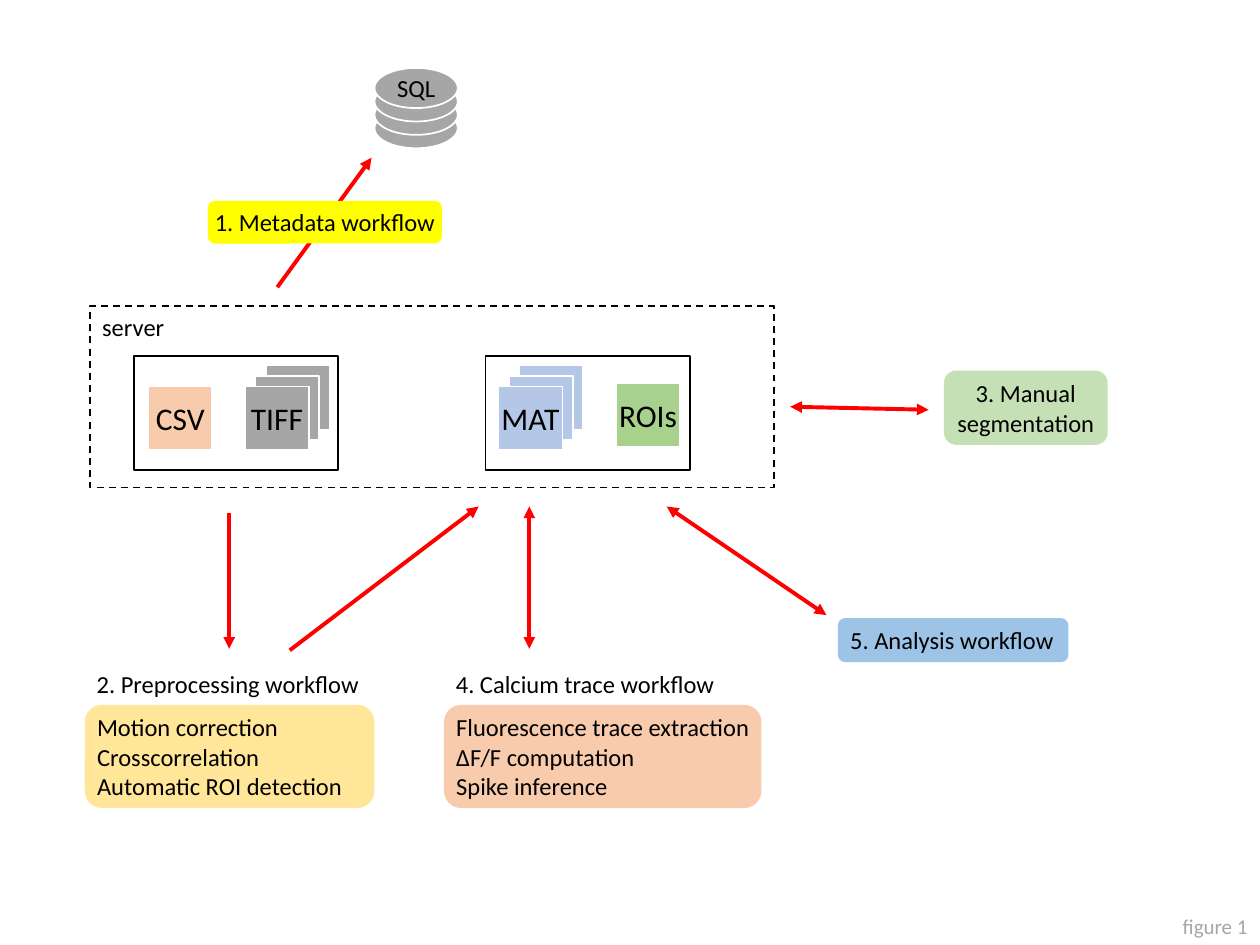
"""Build the imaging data workflow diagram slide."""
from dataclasses import dataclass

from lxml import etree
from pptx import Presentation
from pptx.dml.color import RGBColor
from pptx.enum.dml import MSO_LINE
from pptx.enum.shapes import MSO_CONNECTOR, MSO_SHAPE
from pptx.enum.text import MSO_ANCHOR, PP_ALIGN
from pptx.oxml.ns import qn
from pptx.util import Cm, Pt


@dataclass(frozen=True)
class Theme:
    font: str = "Calibri"
    note: int = 12
    body: int = 14
    tile: int = 18
    edge: float = 1
    arrow: float = 2.25
    black: str = "000000"
    white: str = "FFFFFF"
    gray: str = "A6A6A6"
    red: str = "FF0000"
    yellow: str = "FFFF00"
    sand: str = "FFE699"
    peach: str = "F8CBAD"
    lilac: str = "B4C7E7"
    blue: str = "9DC3E6"
    leaf: str = "A9D18E"
    mint: str = "C5E0B4"


THEME = Theme()
LEFT, CENTER, RIGHT = PP_ALIGN.LEFT, PP_ALIGN.CENTER, PP_ALIGN.RIGHT
INSET = 0.25
CORNER_INSET_RATIO = 0.05

SERVER = (1.81, 6.17, 13.79, 3.66)
FOLDER_LEFTS = (2.7, 9.79)
FOLDER_TOP, FOLDER_WIDTH, FOLDER_HEIGHT = 7.18, 4.12, 2.29
TILE, TILE_STEP = 1.29, 0.21
TILES = [
    ("CSV", 2.99, 7.79, 1, THEME.peach),
    ("TIFF", 4.94, 7.79, 3, THEME.gray),
    ("MAT", 10.05, 7.79, 3, THEME.lilac),
    ("ROIs", 12.42, 7.72, 1, THEME.leaf),
]
DISC_LEFT, DISC_TOP, DISC_WIDTH, DISC_HEIGHT = 7.55, 1.37, 1.68, 0.81
DISC_COUNT, DISC_STEP = 4, 0.27

STEPS = [
    (["1. Metadata workflow"], (4.19, 4.05, 4.72, 0.86), THEME.yellow, CENTER),
    (["3. Manual", "segmentation"], (19.03, 7.47, 3.3, 1.5), THEME.mint, CENTER),
    (["5. Analysis workflow"], (16.89, 12.46, 4.65, 0.89), THEME.blue, LEFT),
    (["Motion correction", "Crosscorrelation", "Automatic ROI detection"],
     (1.71, 14.21, 5.84, 2.08), THEME.sand, LEFT),
    (["Fluorescence trace extraction", "ΔF/F computation", "Spike inference"],
     (8.95, 14.21, 6.4, 2.08), THEME.peach, LEFT),
]
LABELS = [
    ("2. Preprocessing workflow", (1.7, 13.35, 5.84, 0.86), THEME.body, THEME.black, LEFT),
    ("4. Calcium trace workflow", (8.94, 13.35, 6.32, 0.86), THEME.body, THEME.black, LEFT),
    ("figure 1", (22.9, 18.29, 2.5, 0.76), THEME.note, THEME.gray, RIGHT),
]
ARROWS = [
    ((5.59, 5.79), (7.49, 3.18), False),
    ((4.62, 10.34), (4.62, 13.08), False),
    ((5.84, 13.11), (9.65, 10.21), False),
    ((15.93, 8.2), (18.72, 8.26), True),
    ((10.67, 13.08), (10.67, 10.21), True),
    ((16.66, 12.4), (13.44, 10.21), True),
]


def rgb(color):
    return RGBColor.from_string(color)


def write(shape, lines, size=THEME.body, color=THEME.black, align=CENTER,
          anchor=MSO_ANCHOR.MIDDLE, inset=INSET):
    frame = shape.text_frame
    frame.word_wrap = True
    frame.vertical_anchor = anchor
    frame.margin_left = Cm(inset if align == LEFT else 0)
    frame.margin_right = Cm(inset if align == RIGHT else 0)
    frame.text = "\n".join(lines)
    for paragraph in frame.paragraphs:
        paragraph.alignment = align
        paragraph.font.name = THEME.font
        paragraph.font.size = Pt(size)
        paragraph.font.color.rgb = rgb(color)


def add_block(slide, kind, box, fill=None, line=None):
    shape = slide.shapes.add_shape(kind, *map(Cm, box))
    shape.shadow.inherit = False
    if fill:
        shape.fill.solid()
        shape.fill.fore_color.rgb = rgb(fill)
    else:
        shape.fill.background()
    if line:
        shape.line.color.rgb = rgb(line)
        shape.line.width = Pt(THEME.edge)
    else:
        shape.line.fill.background()
    return shape


def add_arrow(slide, start, end, both_ways):
    arrow = slide.shapes.add_connector(MSO_CONNECTOR.STRAIGHT, *map(Cm, start + end))
    arrow.line.color.rgb = rgb(THEME.red)
    arrow.line.width = Pt(THEME.arrow)
    line = arrow.line._get_or_add_ln()
    for tag in ("a:headEnd", "a:tailEnd") if both_ways else ("a:tailEnd",):
        etree.SubElement(line, qn(tag), type="triangle")
    etree.SubElement(arrow._element.spPr, qn("a:effectLst"))


def add_tiles(slide, name, left, top, count, color):
    for depth in reversed(range(count)):
        shift = depth * TILE_STEP
        tile = add_block(slide, MSO_SHAPE.RECTANGLE,
                         (left + shift, top - shift, TILE, TILE), color, THEME.white)
    write(tile, [name], THEME.tile)


def add_database(slide):
    for depth in reversed(range(DISC_COUNT)):
        top = DISC_TOP + depth * DISC_STEP
        disc = add_block(slide, MSO_SHAPE.OVAL,
                         (DISC_LEFT, top, DISC_WIDTH, DISC_HEIGHT), THEME.gray, THEME.white)
    write(disc, ["SQL"])
    disc.text_frame.word_wrap = False


def build():
    deck = Presentation()
    deck.slide_width, deck.slide_height = Cm(25.4), Cm(19.05)
    slide = deck.slides.add_slide(deck.slide_layouts[6])

    server = add_block(slide, MSO_SHAPE.RECTANGLE, SERVER, line=THEME.black)
    server.line.dash_style = MSO_LINE.DASH
    write(server, ["server"], align=LEFT, anchor=MSO_ANCHOR.TOP)
    for arrow in ARROWS:
        add_arrow(slide, *arrow)
    add_database(slide)
    for tiles in TILES:
        add_tiles(slide, *tiles)
    for left in FOLDER_LEFTS:
        add_block(slide, MSO_SHAPE.RECTANGLE,
                  (left, FOLDER_TOP, FOLDER_WIDTH, FOLDER_HEIGHT), line=THEME.black)
    for lines, box, fill, align in STEPS:
        step = add_block(slide, MSO_SHAPE.ROUNDED_RECTANGLE, box, fill)
        write(step, lines, align=align, inset=INSET - CORNER_INSET_RATIO * box[3])
    for text, box, size, color, align in LABELS:
        label = slide.shapes.add_textbox(*map(Cm, box))
        write(label, [text], size, color, align, MSO_ANCHOR.BOTTOM)
    deck.save("out.pptx")


build()
